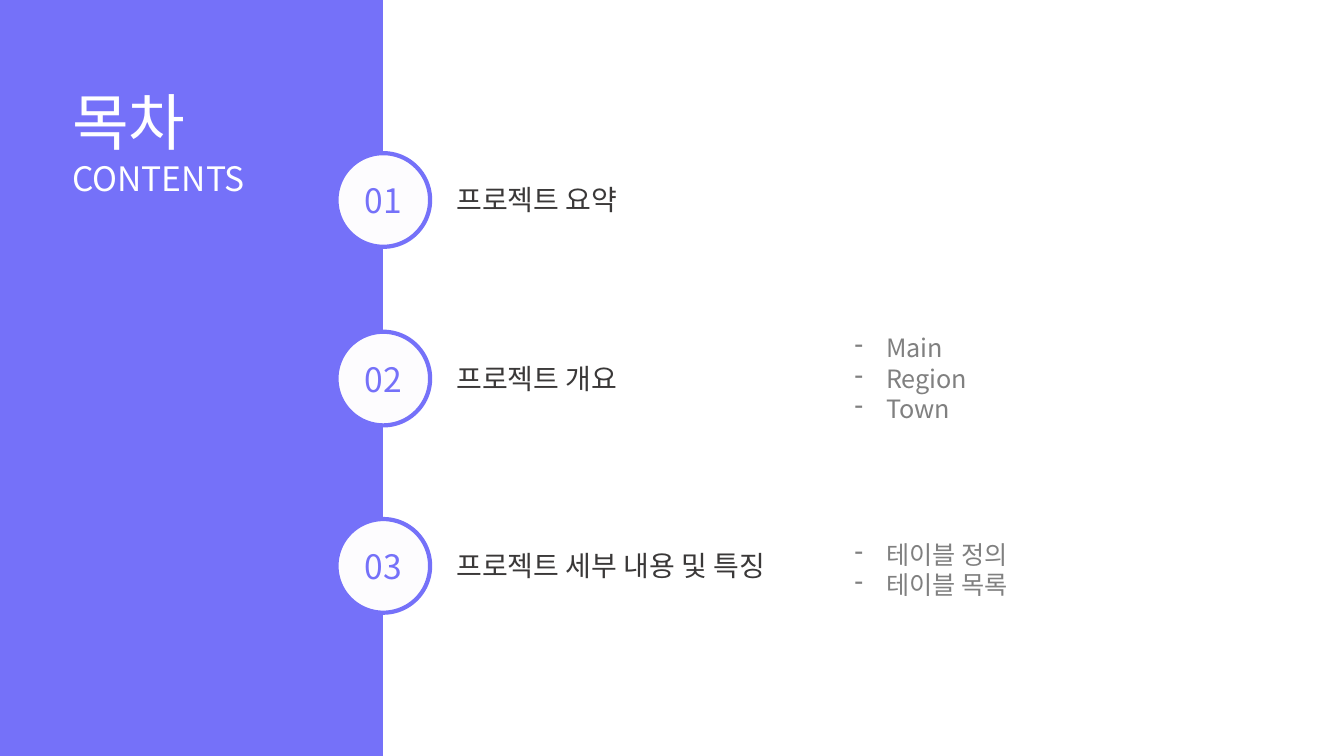
import pptx
import pptx.util
import pptx.dml.color
import pptx.enum.shapes
import pptx.enum.text
import pptx.oxml
import pptx.oxml.ns
from pptx.util import Cm

FONT = "Noto Sans CJK KR"
VIOLET = "7571F9"


def color(hex_string):
    return pptx.dml.color.RGBColor.from_string(hex_string)


def add_line(frame, index, text, size, hex_string):
    paragraph = frame.paragraphs[0] if index == 0 else frame.add_paragraph()
    run = paragraph.add_run()
    run.text = text
    run.font.size = pptx.util.Pt(size)
    run.font.name = FONT
    run.font.color.rgb = color(hex_string)
    east_asian = pptx.oxml.parse_xml(
        f'<a:ea {pptx.oxml.ns.nsdecls("a")} typeface="{FONT}"/>')
    run.font._element.append(east_asian)
    return paragraph


deck = pptx.Presentation()
deck.slide_width, deck.slide_height = Cm(33.87), Cm(19.05)
slide = deck.slides.add_slide(deck.slide_layouts[6])
shapes = slide.shapes

# Side panel
panel = shapes.add_shape(pptx.enum.shapes.MSO_SHAPE.RECTANGLE,
                         0, 0, Cm(9.65), deck.slide_height)
panel.shadow.inherit = False
panel.fill.solid()
panel.fill.fore_color.rgb = color(VIOLET)
panel.line.fill.background()

# Heading
heading = shapes.add_textbox(Cm(1.57), Cm(2), Cm(5.03), Cm(3.18)).text_frame
heading.word_wrap = False
for index, (text, size) in enumerate([("목차", 44), ("CONTENTS", 24)]):
    add_line(heading, index, text, size, "FFFFFF")

# Chapters: centre height, title, top of the topics, topics
chapters = [
    (5.04, "프로젝트 요약", None, []),
    (9.54, "프로젝트 개요", 8.26, ["Main", "Region", "Town"]),
    (14.26, "프로젝트 세부 내용 및 특징", 13.46, ["테이블 정의", "테이블 목록"]),
]
badge_size, title_height, topic_height = 2.36, 1.12, 0.77

for number, (middle, title, topics_top, topics) in enumerate(chapters, 1):
    # Chapter title
    title_frame = shapes.add_textbox(Cm(11.25), Cm(middle - title_height / 2),
                                     Cm(10.06), Cm(title_height)).text_frame
    title_frame.word_wrap = True
    add_line(title_frame, 0, title, 20, "3A3838")

    # Numbered badge
    badge = shapes.add_shape(pptx.enum.shapes.MSO_SHAPE.OVAL,
                             Cm(8.48), Cm(middle - badge_size / 2),
                             Cm(badge_size), Cm(badge_size))
    badge.shadow.inherit = False
    badge.fill.solid()
    badge.fill.fore_color.rgb = color("FDFCFE")
    badge.line.color.rgb = color(VIOLET)
    badge.line.width = pptx.util.Pt(3)
    badge.text_frame.vertical_anchor = pptx.enum.text.MSO_ANCHOR.MIDDLE
    label = add_line(badge.text_frame, 0, f"{number:02}", 24, VIOLET)
    label.alignment = pptx.enum.text.PP_ALIGN.CENTER

    # Dashed list of topics
    if topics:
        topics_frame = shapes.add_textbox(
            Cm(21.29), Cm(topics_top), Cm(6.5),
            Cm(0.25 + topic_height * len(topics))).text_frame
        topics_frame.word_wrap = True
        for index, topic in enumerate(topics):
            item = add_line(topics_frame, index, topic, 18, "808080")
            properties = item._p.get_or_add_pPr()
            properties.set("marL", str(Cm(0.79)))
            properties.set("indent", str(-Cm(0.79)))
            properties.append(pptx.oxml.parse_xml(
                f'<a:buChar {pptx.oxml.ns.nsdecls("a")} char="-"/>'))

deck.save("out.pptx")
